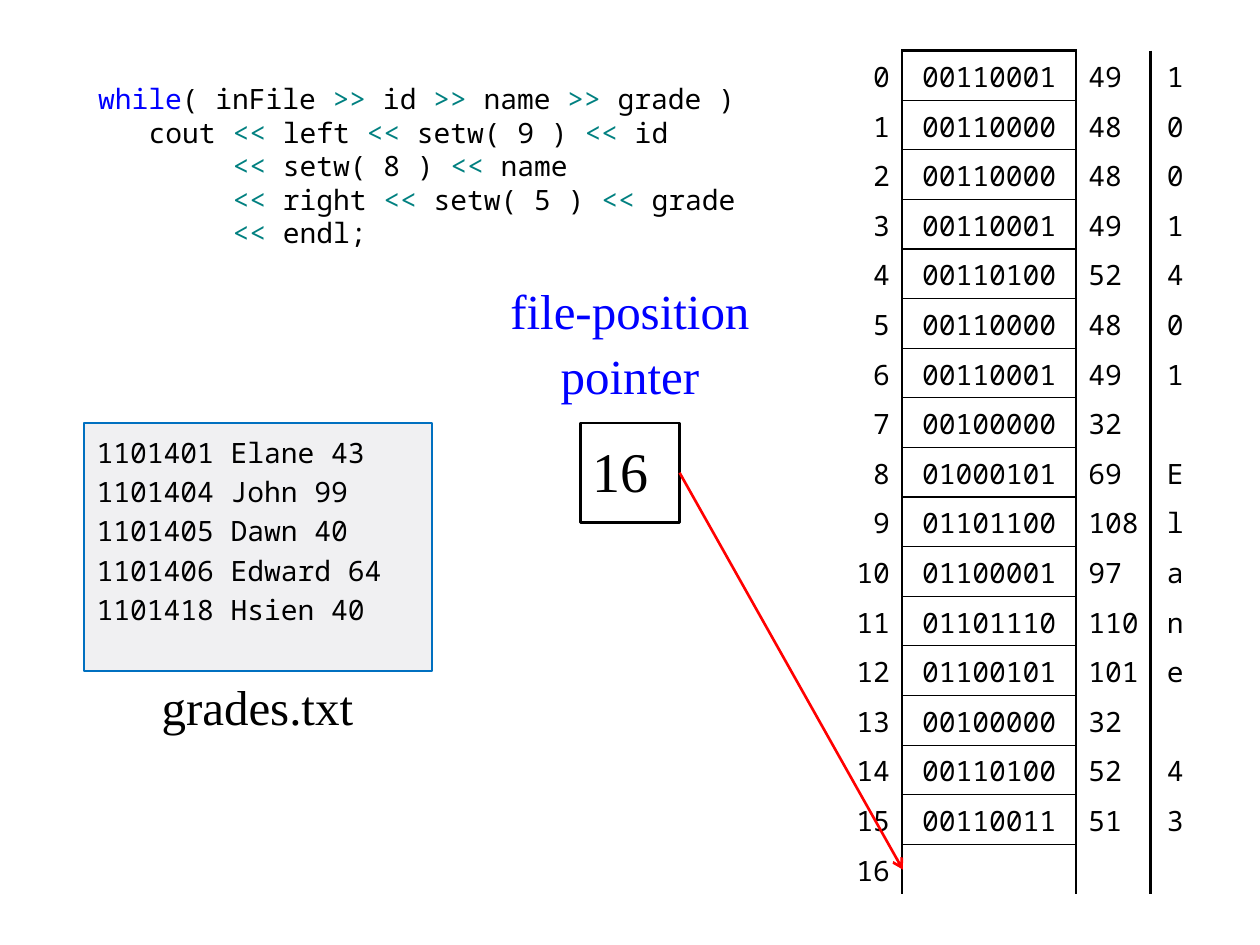
from pptx import Presentation
from pptx.dml.color import RGBColor
from pptx.enum.shapes import MSO_CONNECTOR, MSO_SHAPE
from pptx.enum.text import MSO_ANCHOR, PP_ALIGN
from pptx.oxml.ns import qn
from pptx.util import Cm, Pt
from lxml.etree import SubElement

COLORS = {
    "text": "000000", "keyword": "0000FF", "operator": "008080",
    "panel": "F0F0F2", "border": "0070C0", "arrow": "FF0000",
}
SYNTAX = {"while": "keyword", "<<": "operator", ">>": "operator"}
MONO, SERIF = "Noto Sans Mono", "Times New Roman"
PLAIN_TABLE = "{2D5ABB26-0587-4C30-8999-92F81FD0307C}"


def color(name):
    return RGBColor.from_string(COLORS[name])


class Painter:
    def __init__(self, page):
        self.page = page

    def set_text(self, frame, lines, size=16, font=MONO, ink="text", frame_format=None,
                 para_format=None, indents=None):
        for name, value in (frame_format or {}).items():
            setattr(frame, name, value)
        for index, line in enumerate(lines):
            para = frame.add_paragraph() if index else frame.paragraphs[0]
            for name, value in (para_format or {}).items():
                setattr(para, name, value)
            if indents and indents[index]:
                para._p.get_or_add_pPr().set("marL", str(Cm(indents[index])))
            for part in line.split("|"):
                span = para.add_run()
                span.text = part
                for name, value in {"size": Pt(size), "name": font}.items():
                    setattr(span.font, name, value)
                span.font.color.rgb = color(SYNTAX.get(part, ink))

    def label(self, place, lines, wrap=True, **style):
        box = self.page.shapes.add_textbox(*map(Cm, place))
        box.text_frame.word_wrap = wrap
        self.set_text(box.text_frame, lines, **style)

    def panel(self, place, lines, line, width, fill=None, **style):
        box = self.page.shapes.add_shape(MSO_SHAPE.RECTANGLE, *map(Cm, place))
        box.shadow.inherit = False
        if fill:
            box.fill.solid()
            box.fill.fore_color.rgb = color(fill)
        else:
            box.fill.background()
        box.line.color.rgb = color(line)
        box.line.width = Pt(width)
        self.set_text(box.text_frame, lines, **style)

    def arrow(self, start, end, ink, width):
        line = self.page.shapes.add_connector(
            MSO_CONNECTOR.STRAIGHT, *map(Cm, start + end))
        line.line.color.rgb = color(ink)
        line.line.width = Pt(width)
        SubElement(line.line._get_or_add_ln(), qn("a:tailEnd"), type="arrow")
        SubElement(line._element.spPr, qn("a:effectLst"))

    def border(self, cell, sides):
        properties = cell._tc.get_or_add_tcPr()
        for index, (side, width) in enumerate(sides.items()):
            edge = SubElement(properties, qn("a:ln" + side), w=str(Pt(width)))
            fill = SubElement(edge, qn("a:solidFill"))
            SubElement(fill, qn("a:srgbClr"), val=COLORS["text"])
            properties.insert(index, edge)

    def table(self, left, top, widths, height, rows, aligns, borders):
        frame = self.page.shapes.add_table(
            len(rows), len(widths), Cm(left), Cm(top),
            Cm(sum(widths)), Cm(height * len(rows)))
        grid = frame.table
        grid.first_row = grid.horz_banding = False
        grid._tbl.tblPr.find(qn("a:tableStyleId")).text = PLAIN_TABLE
        for column, width in zip(grid.columns, widths):
            column.width = Cm(width)
        cell_format = {
            "margin_left": Cm(0.25), "margin_right": Cm(0.2), "margin_top": Cm(0.05),
            "margin_bottom": 0, "vertical_anchor": MSO_ANCHOR.MIDDLE,
        }
        for y, values in enumerate(rows):
            grid.rows[y].height = Cm(height)
            for x, value in enumerate(values):
                cell = grid.cell(y, x)
                for name, setting in cell_format.items():
                    setattr(cell, name, setting)
                if aligns[x] != PP_ALIGN.LEFT:
                    cell.margin_right = Cm(0.25)
                cell.fill.background()
                self.border(cell, borders(y, x))
                self.set_text(cell.text_frame, [value], para_format={
                    "alignment": aligns[x], "space_before": Pt(3.2)})


deck = Presentation()
deck.slide_width, deck.slide_height = Cm(25.4), Cm(19.05)
painter = Painter(deck.slides.add_slide(deck.slide_layouts[6]))

painter.label((1.73, 1.52, 13.49, 3.99), [
    "while|( inFile |>>| id |>>| name |>>| grade )",
    "cout |<<| left |<<| setw( 9 ) |<<| id",
    "<<| setw( 8 ) |<<| name",
    "<<| right |<<| setw( 5 ) |<<| grade",
    "<<| endl;",
], indents=[0, 1.02, 2.71, 2.71, 2.71])

painter.panel((1.7, 8.53, 7.01, 5), [
    "1101401 Elane 43", "1101404 John 99", "1101405 Dawn 40",
    "1101406 Edward 64", "1101418 Hsien 40",
], "border", 1, fill="panel",
    frame_format={"margin_top": Cm(0.25), "vertical_anchor": MSO_ANCHOR.TOP},
    para_format={"alignment": PP_ALIGN.LEFT, "space_before": Pt(3.2)})
painter.label((2.69, 13.51, 5, 1.5), ["grades.txt"], wrap=False, size=28, font=SERIF,
              para_format={"alignment": PP_ALIGN.CENTER})

content = "1001401 Elane 43"
memory = [(str(place), format(ord(sign), "08b"), str(ord(sign)), sign.strip())
          for place, sign in enumerate(content)]
memory.append((str(len(content)), "", "", ""))


def memory_borders(y, x):
    if x != 1:
        return {0: {"R": 1.5}, 2: {"L": 1.5}}.get(x, {})
    sides = {"L": 1.5, "R": 1.5, "T": 0.75 if y else 1.5}
    return sides if y == len(content) else {**sides, "B": 0.75}


painter.table(16.69, 1.02, [1.5, 3.5, 1.5, 1], 1, memory,
              [PP_ALIGN.RIGHT, PP_ALIGN.CENTER, PP_ALIGN.LEFT, PP_ALIGN.CENTER],
              memory_borders)

painter.label((9.7, 5.54, 6, 3), ["file-position", "pointer"], size=28, font=SERIF,
              ink="keyword",
              para_format={"alignment": PP_ALIGN.CENTER, "space_before": Pt(3)})
painter.panel((11.7, 8.53, 2, 2), [str(len(content))], "text", 1.5, size=32, font=SERIF,
              frame_format={"margin_top": 0, "margin_bottom": Cm(0.1),
                            "vertical_anchor": MSO_ANCHOR.MIDDLE},
              para_format={"alignment": PP_ALIGN.LEFT, "space_before": Pt(6.4)})
painter.arrow((13.7, 9.53), (18.2, 17.53), "arrow", 1.5)

deck.save("out.pptx")
